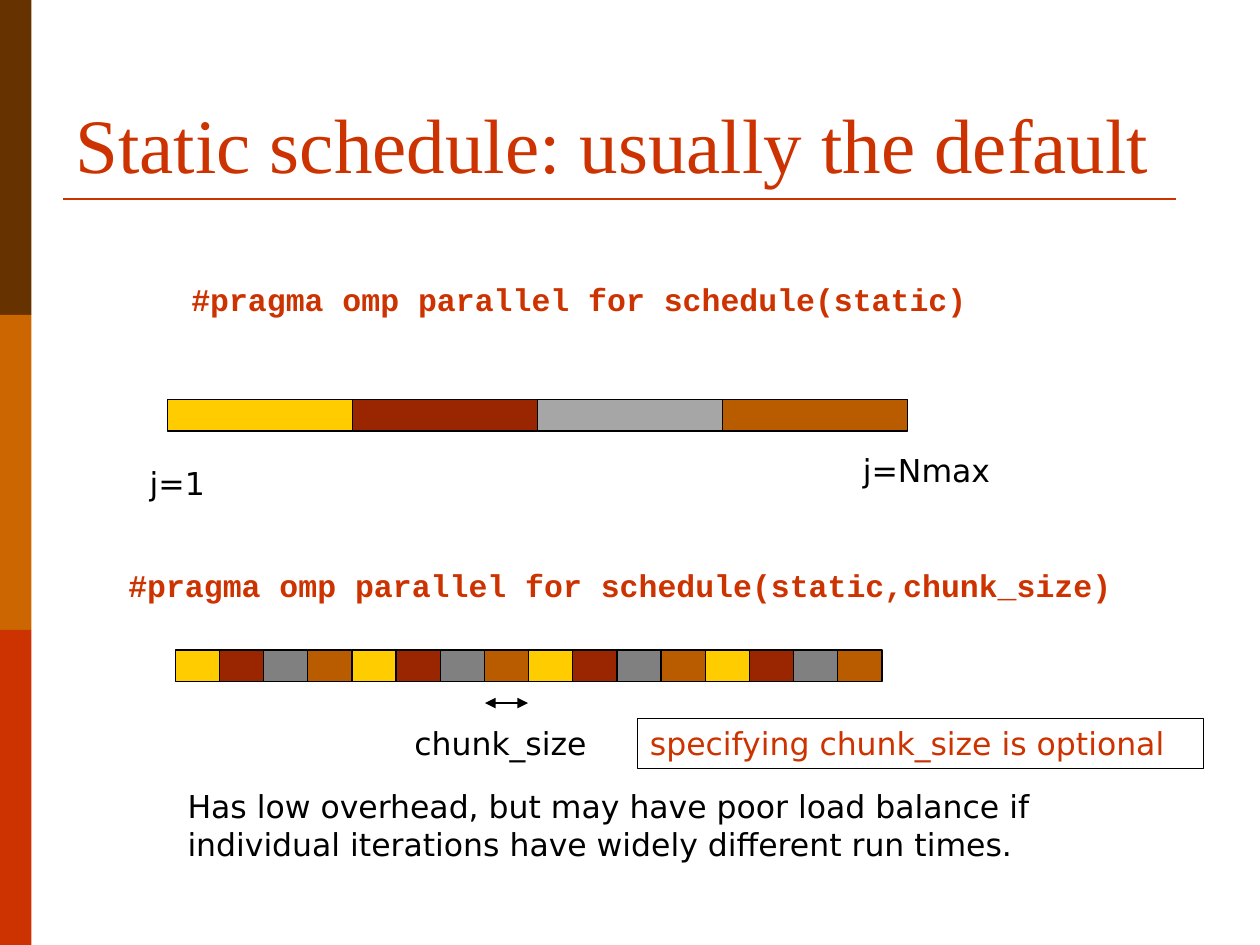
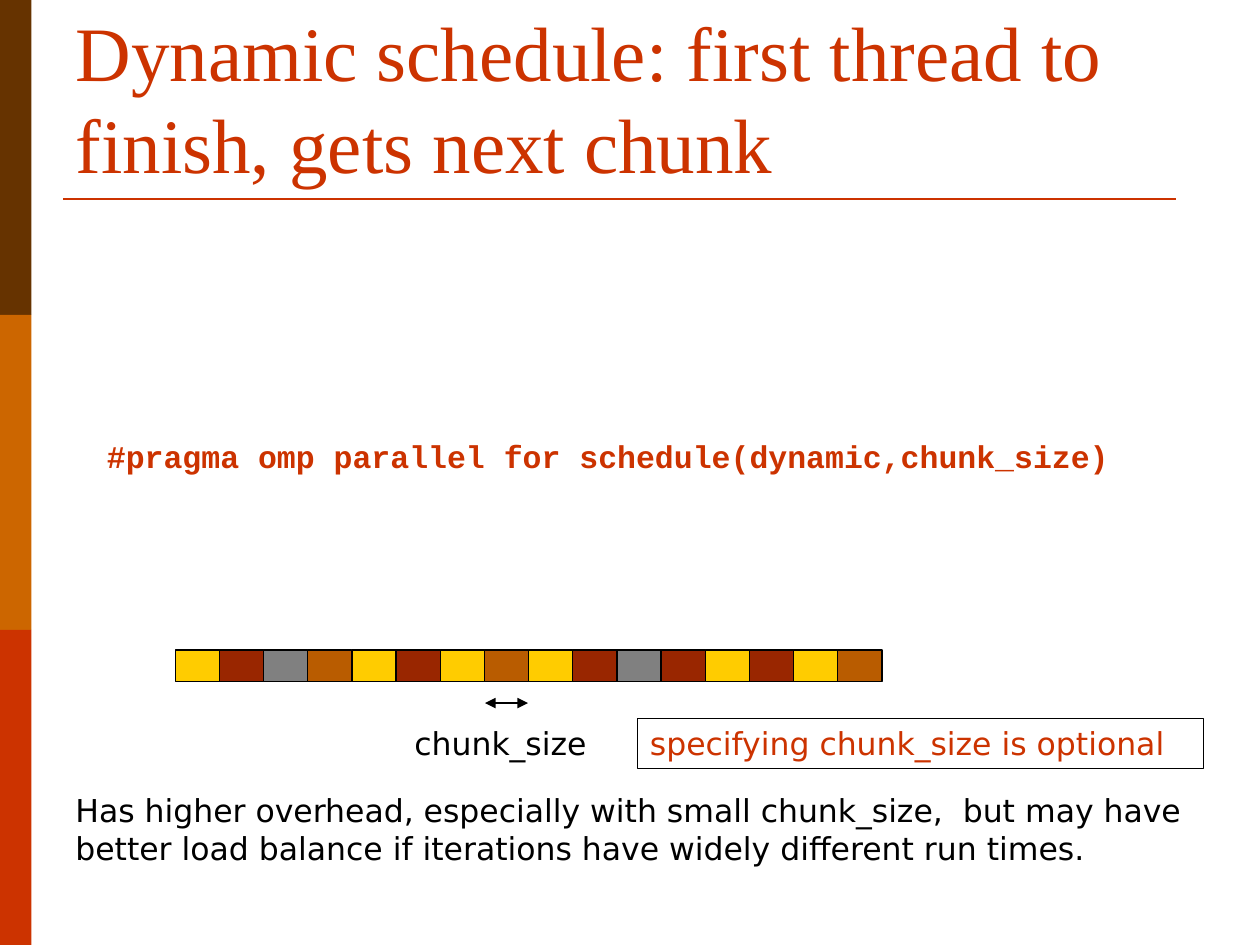
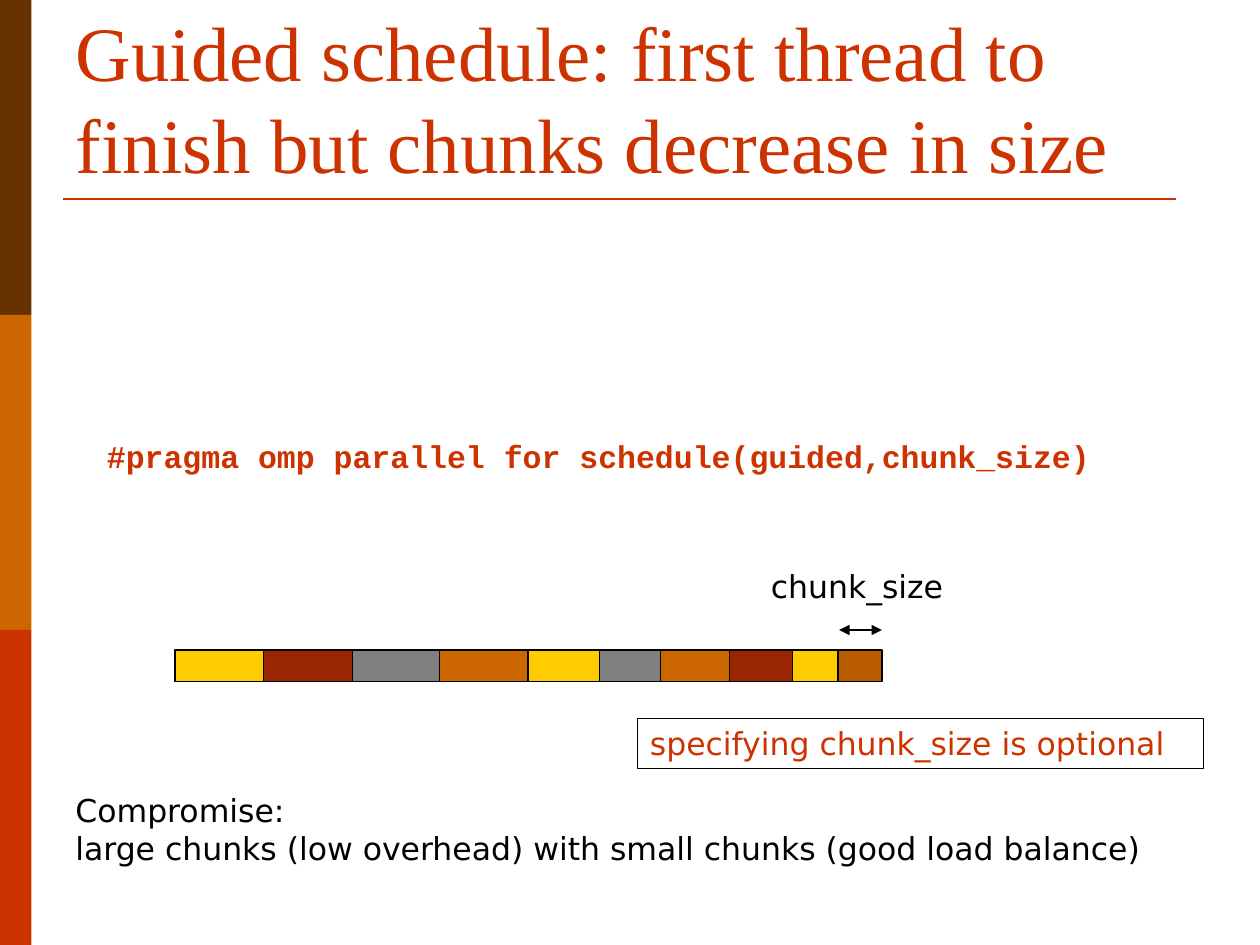
from dataclasses import dataclass
from itertools import pairwise

from lxml.etree import SubElement
from pptx import Presentation
from pptx.dml.color import RGBColor
from pptx.enum.shapes import MSO_CONNECTOR, MSO_SHAPE
from pptx.enum.text import MSO_ANCHOR, MSO_AUTO_SIZE, PP_ALIGN
from pptx.oxml.ns import qn
from pptx.util import Inches, Pt

RED, BROWN, ORANGE, BLACK = "CC3300", "663300", "CC6600", "000000"
YELLOW, MAROON, GRAY, LIGHT_GRAY, AMBER = "FFCC00", "992600", "808080", "A6A6A6", "B95C00"
THREADS = [YELLOW, MAROON, GRAY, AMBER]

TITLE_FONT, CODE_FONT, BODY_FONT = "Times New Roman", "Courier New", "DejaVu Sans"
BAR_HEIGHT = 0.25
CHUNK_BAR_TOP = 5.16
TITLE_ONLY = 5


@dataclass(frozen=True)
class Label:
    text: str
    left: float
    top: float
    width: float
    height: float = 0.4
    font: str = BODY_FONT
    color: str = BLACK
    bold: bool = False
    outlined: bool = False


@dataclass(frozen=True)
class Bar:
    top: float
    edges: list[float]
    colors: list[str]


@dataclass(frozen=True)
class Arrow:
    start: float
    end: float
    top: float


@dataclass(frozen=True)
class ScheduleSlide:
    title: str
    labels: list[Label]
    bars: list[Bar]
    chunk_arrow: Arrow


def rgb(color: str) -> RGBColor:
    return RGBColor.from_string(color)


def even_edges(left: float, right: float, count: int) -> list[float]:
    return [left + (right - left) * index / count for index in range(count + 1)]


def code(text: str, left: float, top: float, width: float) -> Label:
    return Label(text, left, top, width, font=CODE_FONT, color=RED, bold=True)


def chunk_label(left: float, top: float) -> Label:
    return Label("chunk_size", left, top, 1.61)


def style_text(text_frame, font: str, size: float, color: str, bold: bool = False) -> None:
    for paragraph in text_frame.paragraphs:
        paragraph.alignment = PP_ALIGN.LEFT
        for run in paragraph.runs:
            run.font.name = font
            run.font.size = Pt(size)
            run.font.bold = bold
            run.font.color.rgb = rgb(color)


def draw_rectangle(slide, left: float, top: float, width: float, height: float,
                   fill: str, line: str | None = None) -> None:
    shape = slide.shapes.add_shape(
        MSO_SHAPE.RECTANGLE, Inches(left), Inches(top), Inches(width), Inches(height))
    shape.shadow.inherit = False
    shape.fill.solid()
    shape.fill.fore_color.rgb = rgb(fill)
    if line:
        shape.line.color.rgb = rgb(line)
        shape.line.width = Pt(0.75)
    else:
        shape.line.fill.background()


def draw_line(slide, start: float, end: float, top: float, color: str, weight: float,
              arrowheads: bool = False) -> None:
    connector = slide.shapes.add_connector(
        MSO_CONNECTOR.STRAIGHT, Inches(start), Inches(top), Inches(end), Inches(top))
    connector.line.color.rgb = rgb(color)
    connector.line.width = Pt(weight)
    if arrowheads:
        line = connector.line._get_or_add_ln()
        for tag in ("a:headEnd", "a:tailEnd"):
            SubElement(line, qn(tag), type="triangle")
    SubElement(connector._element.spPr, qn("a:effectLst"))


def draw_label(slide, label: Label) -> None:
    box = slide.shapes.add_textbox(
        Inches(label.left), Inches(label.top), Inches(label.width), Inches(label.height))
    text_frame = box.text_frame
    text_frame.word_wrap = True
    text_frame.auto_size = MSO_AUTO_SIZE.SHAPE_TO_FIT_TEXT
    text_frame.text = label.text
    style_text(text_frame, label.font, 18, label.color, label.bold)
    if label.outlined:
        box.line.color.rgb = rgb(BLACK)
        box.line.width = Pt(0.75)


def draw_bar(slide, bar: Bar) -> None:
    for (left, right), color in zip(pairwise(bar.edges), bar.colors):
        draw_rectangle(slide, left, bar.top, right - left, BAR_HEIGHT, color, BLACK)


def draw_frame(slide, title: str) -> None:
    """Draw the side bands, the title and the rule below it."""
    for index, color in enumerate([BROWN, ORANGE, RED]):
        draw_rectangle(slide, 0, 2.5 * index, 0.25, 2.5, color)
    draw_line(slide, 0.5, 9.33, 1.58, RED, 1.5)
    shape = slide.shapes.title
    shape.left, shape.top = Inches(0.5), Inches(0.3)
    shape.width, shape.height = Inches(9), Inches(1.25)
    text_frame = shape.text_frame
    text_frame.text = title
    text_frame.word_wrap = True
    text_frame.auto_size = MSO_AUTO_SIZE.NONE
    text_frame.vertical_anchor = MSO_ANCHOR.BOTTOM
    style_text(text_frame, TITLE_FONT, 44, RED)


OPTIONAL_NOTE = Label("specifying chunk_size is optional", 5.06, 5.7, 4.49,
                      color=RED, outlined=True)
CHUNK_EDGES = even_edges(1.39, 7, 16)
CHUNK_ARROW = Arrow(3.85, 4.19, 5.58)

SCHEDULES = [
    ScheduleSlide(
        "Static schedule: usually the default",
        [
            code("#pragma omp parallel for schedule(static)", 1.42, 2.17, 6.5),
            Label("j=1", 1.09, 3.63, 0.66),
            Label("j=Nmax", 6.75, 3.53, 1.23),
            code("#pragma omp parallel for schedule(static,chunk_size)", 0.92, 4.44, 8.17),
            chunk_label(3.19, 5.7),
            Label("Has low overhead, but may have poor load balance if\n"
                  "individual iterations have widely different run times.",
                  1.39, 6.2, 7.06, 0.71),
        ],
        [
            Bar(3.17, even_edges(1.33, 7.2, 4), [YELLOW, MAROON, LIGHT_GRAY, AMBER]),
            Bar(CHUNK_BAR_TOP, CHUNK_EDGES, THREADS * 4),
        ],
        CHUNK_ARROW,
    ),
    ScheduleSlide(
        "Dynamic schedule: first thread to finish, gets next chunk",
        [
            code("#pragma omp parallel for schedule(dynamic,chunk_size)", 0.75, 3.42, 8.5),
            chunk_label(3.19, 5.7),
            Label("Has higher overhead, especially with small chunk_size,  but may have\n"
                  "better load balance if iterations have widely different run times.",
                  0.5, 6.23, 9.14, 0.71),
        ],
        [
            Bar(CHUNK_BAR_TOP, CHUNK_EDGES,
                THREADS + [YELLOW, MAROON, YELLOW, AMBER]
                + [YELLOW, MAROON, GRAY, MAROON] + [YELLOW, MAROON, YELLOW, AMBER]),
        ],
        CHUNK_ARROW,
    ),
    ScheduleSlide(
        "Guided schedule: first thread to finish but chunks decrease in size",
        [
            code("#pragma omp parallel for schedule(guided,chunk_size)", 0.75, 3.42, 8.5),
            chunk_label(6.02, 4.45),
            Label("Compromise:\n"
                  "large chunks (low overhead) with small chunks (good load balance)",
                  0.5, 6.23, 8.9, 0.71),
        ],
        [
            Bar(CHUNK_BAR_TOP,
                [1.39, 2.09, 2.8, 3.49, 4.19, 4.76, 5.24, 5.79, 6.29, 6.65, 7],
                [YELLOW, MAROON, GRAY, ORANGE, YELLOW, GRAY, ORANGE, MAROON, YELLOW, AMBER]),
        ],
        Arrow(6.66, 7, 5),
    ),
]


def main() -> None:
    presentation = Presentation()
    presentation.slide_width, presentation.slide_height = Inches(10), Inches(7.5)
    for schedule in SCHEDULES:
        slide = presentation.slides.add_slide(presentation.slide_layouts[TITLE_ONLY])
        draw_frame(slide, schedule.title)
        for bar in schedule.bars:
            draw_bar(slide, bar)
        arrow = schedule.chunk_arrow
        draw_line(slide, arrow.start, arrow.end, arrow.top, BLACK, 0.75, arrowheads=True)
        for label in [*schedule.labels, OPTIONAL_NOTE]:
            draw_label(slide, label)
    presentation.save("out.pptx")


if __name__ == "__main__":
    main()
